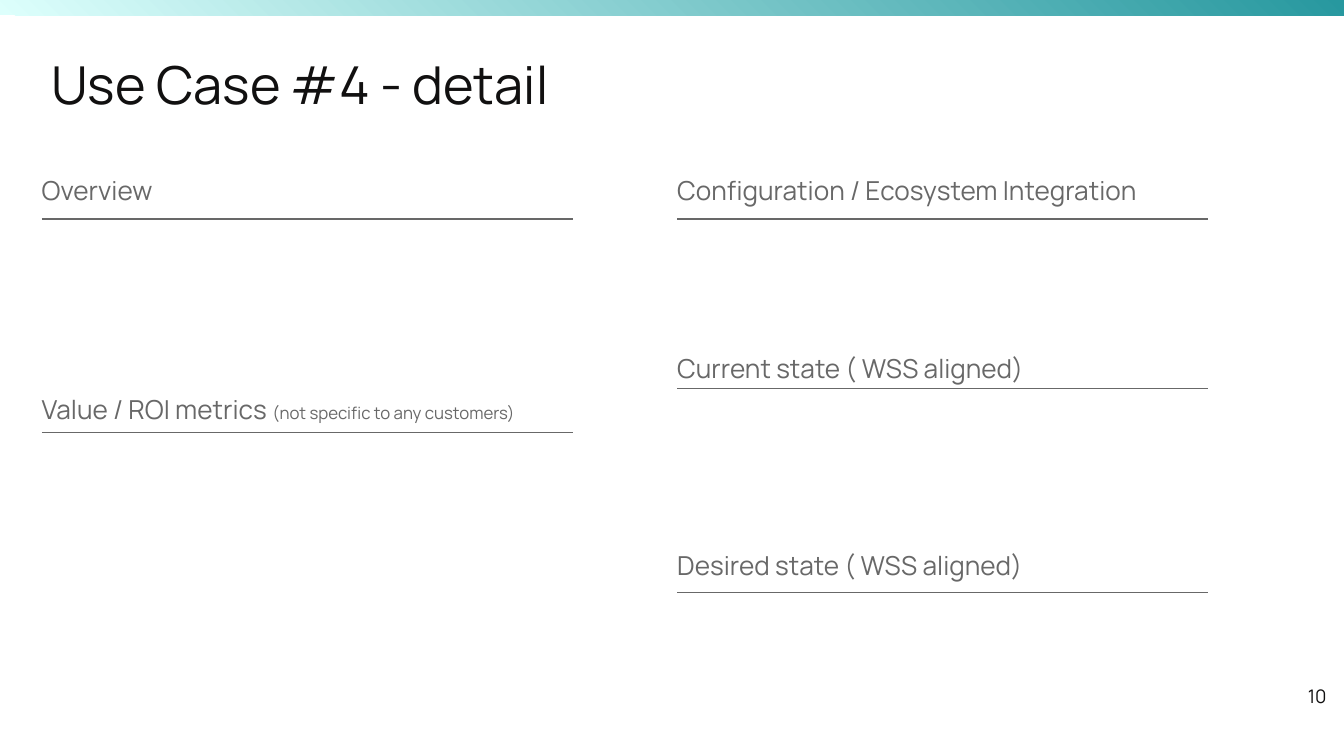
from dataclasses import dataclass

from lxml import etree
from pptx import Presentation
from pptx.dml.color import RGBColor
from pptx.enum.shapes import MSO_CONNECTOR, MSO_SHAPE
from pptx.enum.text import MSO_ANCHOR, MSO_AUTO_SIZE, PP_ALIGN
from pptx.oxml.ns import qn
from pptx.util import Cm, Pt

STRAIGHT = MSO_CONNECTOR.STRAIGHT
RECTANGLE = MSO_SHAPE.RECTANGLE
TOP, MIDDLE = MSO_ANCHOR.TOP, MSO_ANCHOR.MIDDLE
FIT_SHAPE = MSO_AUTO_SIZE.SHAPE_TO_FIT_TEXT
LEFT, RIGHT = PP_ALIGN.LEFT, PP_ALIGN.RIGHT


@dataclass(frozen=True)
class Theme:
    font: str = "Manrope"
    ink: RGBColor = RGBColor.from_string("111010")
    gray: RGBColor = RGBColor.from_string("686868")
    band_start: RGBColor = RGBColor.from_string("DDFFFC")
    band_end: RGBColor = RGBColor.from_string("27989F")
    title_size: int = 28
    heading_size: int = 14
    number_size: int = 10
    remark_size: int = 9


theme = Theme()


def write(box, spans, color, align=LEFT, anchor=TOP, line_spacing=None, space_after=None):
    """Fill box with one paragraph made of (text, size) spans."""
    frame = box.text_frame
    frame.margin_left = frame.margin_right = frame.margin_top = frame.margin_bottom = 0
    frame.word_wrap = True
    frame.auto_size = FIT_SHAPE
    frame.vertical_anchor = anchor
    para = frame.paragraphs[0]
    para.alignment = align
    para.line_spacing = line_spacing
    para.space_after = space_after
    for text, size in spans:
        span = para.add_run()
        span.text = text
        span.font.name = theme.font
        span.font.size = Pt(size)
        span.font.color.rgb = color


deck = Presentation()
deck.slide_width, deck.slide_height = Cm(25.4), Cm(14.29)
page = deck.slides.add_slide(deck.slide_layouts.get_by_name("Title Only"))
shapes = page.shapes

# Title
title = shapes.title
title.left, title.top, title.width, title.height = Cm(0.97), Cm(0.99), Cm(23.67), Cm(1.19)
write(title, [("Use Case #4 - detail", theme.title_size)], theme.ink)

# Gradient band along the top edge
band = shapes.add_shape(RECTANGLE, 0, 0, deck.slide_width, Cm(0.29))
band.shadow.inherit = False
band.line.fill.background()
band.fill.gradient()
band.fill.gradient_angle = 45
for stop, color in zip(band.fill.gradient_stops, (theme.band_start, theme.band_end)):
    stop.color.rgb = color

# Section headings, each with a rule below it
left_column, right_column = 0.79, 12.8
heading_width, heading_height, rule_length = 11.1, 0.61, 10.03
size = theme.heading_size
sections = [
    (left_column, 3.2, 4.14, [("Overview", size)]),
    (right_column, 3.2, 4.14, [("Configuration / Ecosystem Integration", size)]),
    (left_column, 7.34, 8.18, [("Value / ROI metrics ", size),
                               ("(not specific to any customers)", theme.remark_size)]),
    (right_column, 6.58, 7.34, [("Current state ( WSS aligned)", size)]),
    (right_column, 10.29, 11.2, [("Desired state ( WSS aligned)", size)]),
]
for x, heading_y, rule_y, spans in sections:
    heading = shapes.add_textbox(Cm(x), Cm(heading_y), Cm(heading_width), Cm(heading_height))
    write(heading, spans, theme.gray, line_spacing=1.15, space_after=Pt(12))
    rule = shapes.add_connector(STRAIGHT, Cm(x), Cm(rule_y), Cm(x + rule_length), Cm(rule_y))
    rule.line.color.rgb = theme.gray
    rule.line.width = Pt(0.75)
    etree.SubElement(rule._element.spPr, qn("a:effectLst"))

# Page number
number = shapes.add_textbox(Cm(23.55), Cm(12.95), Cm(1.52), Cm(0.43))
write(number, [("10", theme.number_size)], theme.ink, align=RIGHT, anchor=MIDDLE)

deck.save("out.pptx")
